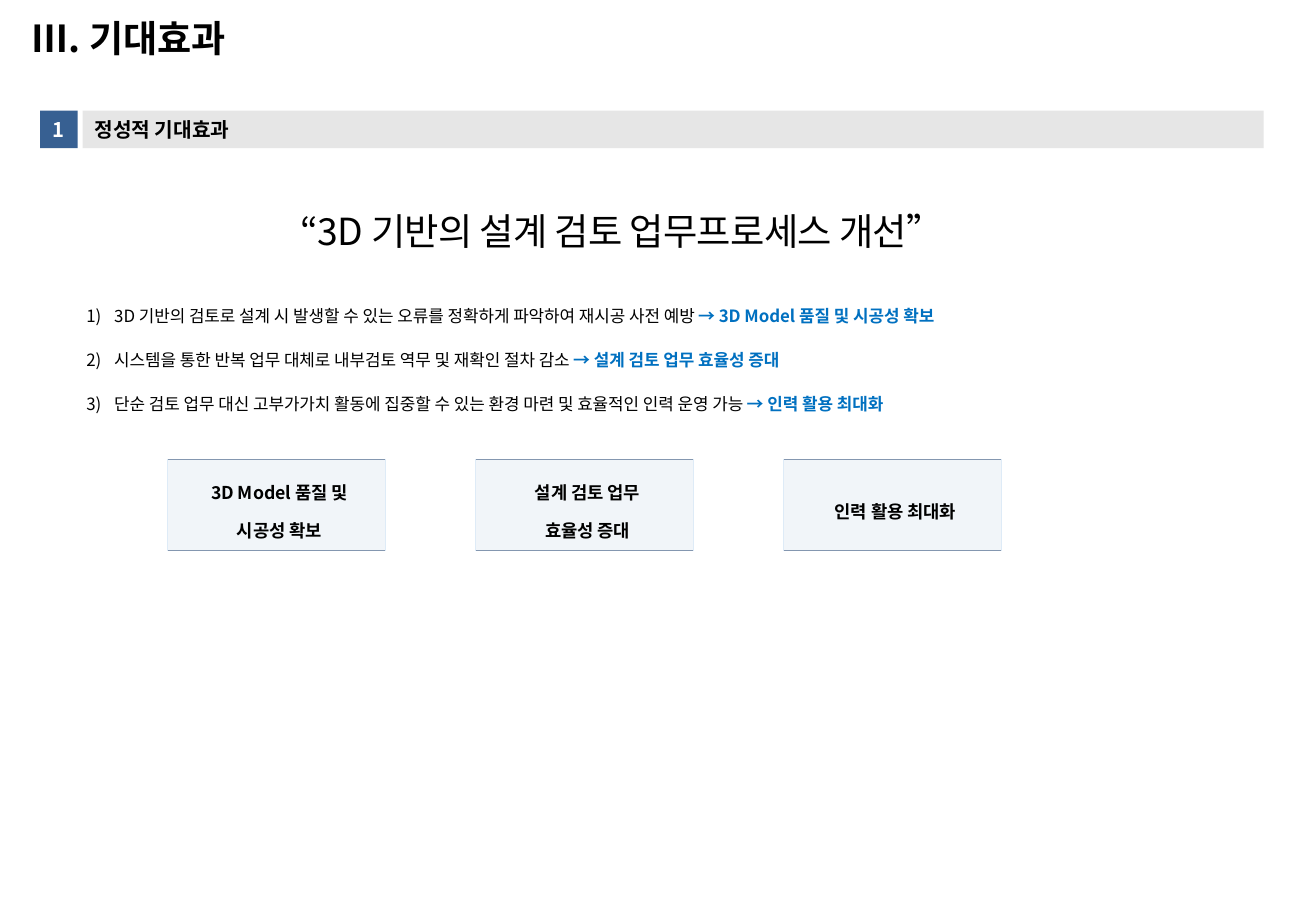
from lxml import etree
from pptx import Presentation
from pptx.dml.color import RGBColor
from pptx.enum.shapes import MSO_SHAPE
from pptx.enum.text import MSO_ANCHOR, MSO_AUTO_SIZE, PP_ALIGN
from pptx.oxml.ns import qn
from pptx.util import Emu, Pt

RECTANGLE = MSO_SHAPE.RECTANGLE
MIDDLE, TOP = MSO_ANCHOR.MIDDLE, MSO_ANCHOR.TOP
LEFT, CENTER = PP_ALIGN.LEFT, PP_ALIGN.CENTER
NO_AUTOFIT = MSO_AUTO_SIZE.NONE
TITLE_ONLY = 5

FONT = "Noto Sans CJK KR"
COLORS = {
    "text": "000000",
    "white": "FFFFFF",
    "accent": "0070C0",
    "number": "376092",
    "band": "E6E6E6",
    "card": "DCE6F2",
    "card_side": "DEEBF7",
    "card_edge": "8497B0",
}
EFFECTS = [
    ("3D 기반의 검토로 설계 시 발생할 수 있는 오류를 정확하게 파악하여 재시공 사전 예방 ",
     "→ 3D Model 품질 및 시공성 확보"),
    ("시스템을 통한 반복 업무 대체로 내부검토 역무 및 재확인 절차 감소 ",
     "→ 설계 검토 업무 효율성 증대"),
    ("단순 검토 업무 대신 고부가가치 활동에 집중할 수 있는 환경 마련 및 효율적인 인력 운영 가능 ",
     "→ 인력 활용 최대화"),
]
CARDS = [
    ["3D Model 품질 및", "시공성 확보"],
    ["설계 검토 업무", "효율성 증대"],
    ["인력 활용 최대화"],
]
CARD_LEFT, CARD_STEP = 138, 253.5


def px(value):
    """Convert px, at 100 to the inch, into EMU."""
    return Emu(round(value * 9144))


def color(name):
    return RGBColor.from_string(COLORS[name])


def set_font(font, size, color_name="text", bold=False):
    font.size = Pt(size)
    font.bold = bold
    font.color.rgb = color(color_name)
    font.name = FONT
    latin = font._element.find(qn("a:latin"))
    east_asian = etree.Element(qn("a:ea"), typeface=FONT)
    latin.addnext(east_asian)


def set_frame(frame, anchor=MIDDLE, margins=(10, 5, 10, 5)):
    frame.word_wrap = True
    frame.auto_size = NO_AUTOFIT
    frame.vertical_anchor = anchor
    (frame.margin_left, frame.margin_top,
     frame.margin_right, frame.margin_bottom) = map(px, margins)


def write_line(paragraph, text, size, color_name="text", bold=True, align=LEFT):
    paragraph.text = text
    paragraph.alignment = align
    set_font(paragraph.font, size, color_name, bold)


def add_title(slide, text):
    title = slide.shapes.title
    title.left, title.top, title.width, title.height = map(px, (16, 1, 1039, 60))
    set_frame(title.text_frame)
    write_line(title.text_frame.paragraphs[0], text, 22)


def add_bar(slide, left, width, fill, text, text_color, align):
    bar = slide.shapes.add_shape(RECTANGLE, *map(px, (left, 91, width, 31)))
    bar.shadow.inherit = False
    bar.fill.solid()
    bar.fill.fore_color.rgb = color(fill)
    bar.line.fill.background()
    set_frame(bar.text_frame)
    write_line(bar.text_frame.paragraphs[0], text, 12, text_color, align=align)


def add_slogan(slide, text):
    box = slide.shapes.add_textbox(*map(px, (64, 171, 896, 37)))
    set_frame(box.text_frame, margins=(0, 0, 0, 0))
    paragraph = box.text_frame.paragraphs[0]
    write_line(paragraph, text, 22.1, bold=False, align=CENTER)
    paragraph.runs[0].font._element.set("spc", "-40")


def add_effects(slide, effects):
    box = slide.shapes.add_textbox(*map(px, (64, 230, 884, 101)))
    frame = box.text_frame
    set_frame(frame, TOP, (7, 5, 7, 5))
    for index, (reason, result) in enumerate(effects):
        paragraph = frame.paragraphs[0] if index == 0 else frame.add_paragraph()
        paragraph.line_spacing = 2
        if index:
            paragraph.space_before = Pt(2)
        properties = paragraph._p.get_or_add_pPr()
        properties.set("marL", str(px(23)))
        properties.set("indent", str(px(-23)))
        etree.SubElement(properties, qn("a:buAutoNum"), type="arabicParenR")
        for text, color_name, bold in ((reason, "text", False), (result, "accent", True)):
            run = paragraph.add_run()
            run.text = text
            set_font(run.font, 10, color_name, bold)


def set_borders(cell):
    properties = cell._tc.get_or_add_tcPr()
    sides = (("lnL", "card_side"), ("lnR", "card_side"),
             ("lnT", "card_edge"), ("lnB", "card_edge"))
    for index, (side, color_name) in enumerate(sides):
        line = etree.Element(qn(f"a:{side}"), w=str(Pt(0.75)))
        fill = etree.SubElement(line, qn("a:solidFill"))
        etree.SubElement(fill, qn("a:srgbClr"), val=COLORS[color_name])
        properties.insert(index, line)


def add_card(slide, left, lines):
    """Add a one-cell table with a pale, part-transparent fill."""
    table = slide.shapes.add_table(1, 1, *map(px, (left, 378, 179, 75))).table
    table.first_row = table.horz_banding = False
    cell = table.cell(0, 0)
    cell.fill.solid()
    cell.fill.fore_color.rgb = color("card")
    fill_color = cell._tc.tcPr.find(".//" + qn("a:srgbClr"))
    etree.SubElement(fill_color, qn("a:alpha"), val="40000")
    set_borders(cell)
    cell.vertical_anchor = MIDDLE
    cell.margin_left, cell.margin_right = px(13), px(8)
    cell.margin_top = cell.margin_bottom = px(4)
    cell.text = "\n".join(lines)
    for paragraph, text in zip(cell.text_frame.paragraphs, lines):
        paragraph.line_spacing = 1.5
        write_line(paragraph, text, 10.5, align=CENTER)


def main():
    presentation = Presentation()
    presentation.slide_width, presentation.slide_height = px(1083), px(750)
    slide = presentation.slides.add_slide(presentation.slide_layouts[TITLE_ONLY])
    add_title(slide, "Ⅲ. 기대효과")
    add_bar(slide, 33, 31, "number", "1", "white", CENTER)
    add_bar(slide, 68, 972, "band", "정성적 기대효과", "text", LEFT)
    add_slogan(slide, "“3D 기반의 설계 검토 업무프로세스 개선”")
    add_effects(slide, EFFECTS)
    for index, lines in enumerate(CARDS):
        add_card(slide, CARD_LEFT + index * CARD_STEP, lines)
    presentation.save("out.pptx")


if __name__ == "__main__":
    main()
